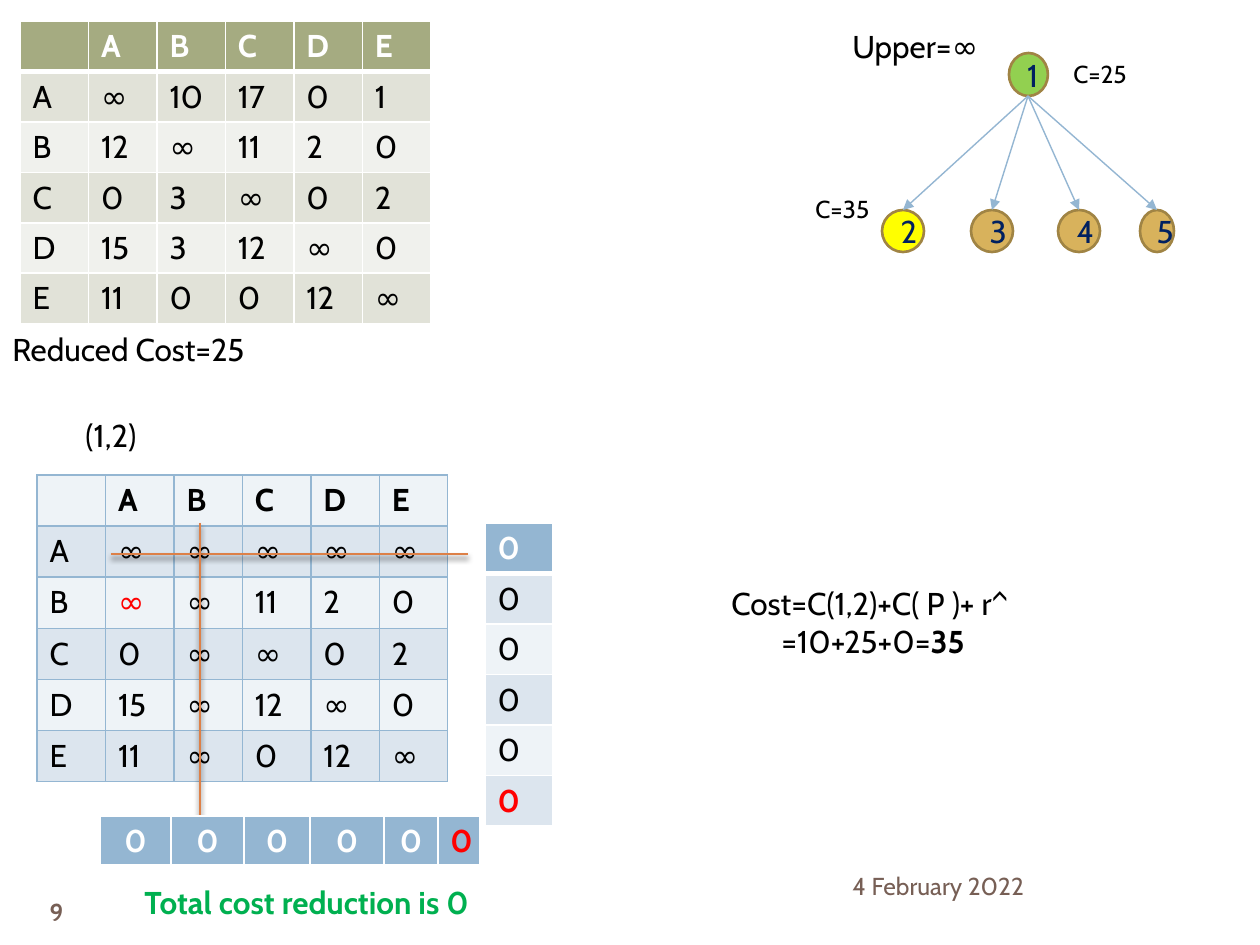
"""Builds the branch-and-bound slide with reduced cost matrices and a search tree."""
from dataclasses import dataclass

from lxml.etree import SubElement
from pptx import Presentation
from pptx.dml.color import RGBColor
from pptx.enum.shapes import MSO_CONNECTOR, MSO_SHAPE
from pptx.enum.text import MSO_ANCHOR, PP_ALIGN
from pptx.oxml.ns import qn
from pptx.util import Emu, Pt


@dataclass(frozen=True)
class Theme:
    font: str = "Cabin"
    body: int = 18
    small: int = 14
    black: str = "000000"
    white: str = "FFFFFF"
    red: str = "FF0000"
    green: str = "00B050"
    brown: str = "775F55"
    navy: str = "002060"
    blue: str = "94B6D2"
    orange: str = "DD8047"
    node_edge: str = "A08444"
    root: str = "92D050"
    explored: str = "FFFF00"
    open_node: str = "D8B25C"
    olive: str = "A5AB81"
    olive_bands: tuple = ("E1E2D8", "F0F1ED")
    blue_bands: tuple = ("DCE5EE", "EEF3F7")


def px(length):
    return Emu(round(length * 914400 / 126))


def apply(target, values):
    for name, value in values.items():
        setattr(target, name, value)


class SlideBuilder:
    def __init__(self, slide, theme):
        self.slide = slide
        self.theme = theme

    def add_words(self, paragraph, content, color, size=None, bold=False):
        run = paragraph.add_run()
        run.text = content
        apply(run.font, {"name": self.theme.font, "size": Pt(size or self.theme.body), "bold": bold})
        run.font.color.rgb = RGBColor.from_string(color)

    def text(self, box, content, color=None, size=None, bold=False,
             align=PP_ALIGN.LEFT, anchor=MSO_ANCHOR.TOP):
        frame = self.slide.shapes.add_textbox(*map(px, box)).text_frame
        apply(frame, {"word_wrap": True, "vertical_anchor": anchor})
        paragraph = frame.paragraphs[0]
        paragraph.alignment = align
        self.add_words(paragraph, content, color or self.theme.black, size, bold)
        return frame

    def node(self, box, label, fill):
        circle = self.slide.shapes.add_shape(MSO_SHAPE.OVAL, *map(px, box))
        circle.shadow.inherit = False
        circle.fill.solid()
        circle.fill.fore_color.rgb = RGBColor.from_string(fill)
        circle.line.color.rgb = RGBColor.from_string(self.theme.node_edge)
        circle.line.width = Pt(1.5)
        circle.text_frame.vertical_anchor = MSO_ANCHOR.MIDDLE
        paragraph = circle.text_frame.paragraphs[0]
        paragraph.alignment = PP_ALIGN.CENTER
        self.add_words(paragraph, label, self.theme.navy)

    def line(self, start, end, color, width):
        connector = self.slide.shapes.add_connector(
            MSO_CONNECTOR.STRAIGHT, *map(px, (*start, *end)))
        connector.line.color.rgb = RGBColor.from_string(color)
        connector.line.width = Pt(width)
        effects = SubElement(connector._element.spPr, qn("a:effectLst"))
        return connector, effects

    def arrow(self, start, end):
        connector, _ = self.line(start, end, self.theme.blue, 0.79)
        SubElement(connector.line._get_or_add_ln(), qn("a:tailEnd"), type="triangle")

    def strike(self, start, end):
        _, effects = self.line(start, end, self.theme.orange, 1.5)
        shadow = SubElement(effects, qn("a:outerShdw"), blurRad=str(Pt(3)),
                            dist=str(Pt(2.4)), dir="5400000", rotWithShape="0")
        shade = SubElement(shadow, qn("a:srgbClr"), val=self.theme.black)
        SubElement(shade, qn("a:alpha"), val="45000")

    def borders(self, cell, color, top, bottom):
        properties = cell._tc.get_or_add_tcPr()
        for side, width in (("L", 1), ("R", 1), ("T", top), ("B", bottom)):
            edge = SubElement(properties, qn(f"a:ln{side}"), w=str(Pt(width)))
            SubElement(SubElement(edge, qn("a:solidFill")), qn("a:srgbClr"), val=color)

    def table(self, box, rows, head, head_text, bands, border, head_rule=3,
              align=PP_ALIGN.LEFT, widths=(), accents=None):
        table = self.slide.shapes.add_table(len(rows), len(rows[0]), *map(px, box)).table
        apply(table, {"first_row": False, "horz_banding": False})
        for column, width in zip(table.columns, widths):
            column.width = px(width)
        for r, row in enumerate(rows):
            for c, value in enumerate(row):
                cell = table.cell(r, c)
                self.borders(cell, border, head_rule if r == 1 else 1, head_rule if r == 0 else 1)
                cell.fill.solid()
                fill = bands[(r - 1) % 2] if r else head
                cell.fill.fore_color.rgb = RGBColor.from_string(fill)
                paragraph = cell.text_frame.paragraphs[0]
                paragraph.alignment = align
                style = {"color": self.theme.black if r else head_text, "bold": r == 0}
                style.update((accents or {}).get((r, c), {}))
                if value:
                    self.add_words(paragraph, value, **style)


def matrix(*rows):
    return [["", *"ABCDE"], *([name, *row.split()] for name, row in zip("ABCDE", rows))]


def main():
    theme = Theme()
    deck = Presentation()
    apply(deck, {"slide_width": px(1260), "slide_height": px(945)})
    page = SlideBuilder(deck.slides.add_slide(deck.slide_layouts[6]), theme)

    page.table((37, 475, 411, 302),
               matrix("∞ ∞ ∞ ∞ ∞", "∞ ∞ 11 2 0", "0 ∞ ∞ 0 2", "15 ∞ 12 ∞ 0", "11 ∞ 0 12 ∞"),
               theme.blue_bands[1], theme.black, theme.blue_bands, theme.blue,
               head_rule=1, accents={(2, 1): {"color": theme.red}})
    page.text((840, 861, 368, 50), "4 February 2022", theme.brown, theme.small,
              anchor=MSO_ANCHOR.MIDDLE)
    page.text((20, 885, 73, 53), "9", theme.brown, theme.small, True,
              PP_ALIGN.CENTER, MSO_ANCHOR.MIDDLE)
    page.table((20, 21, 411, 302),
               matrix("∞ 10 17 0 1", "12 ∞ 11 2 0", "0 3 ∞ 0 2", "15 3 12 ∞ 0", "11 0 0 12 ∞"),
               theme.olive, theme.white, theme.olive_bands, theme.white)
    page.text((0, 324, 368, 50), "Reduced Cost=25")

    root_bottom = (1028, 96)
    children_top = 210
    children = ((882, 42, theme.explored), (971, 42, theme.open_node),
                (1058, 42, theme.open_node), (1140, 34, theme.open_node))
    page.node((1009, 53, 39, 43), "1", theme.root)
    for label, (left, width, fill) in enumerate(children, 2):
        page.node((left, children_top, width, 42), str(label), fill)
    for left, width, _ in children:
        page.arrow(root_bottom, (left + width // 2, children_top))
    page.text((1061, 53, 115, 43), "C=25", size=theme.small)
    page.text((840, 21, 168, 89), "Upper=∞")

    page.strike((111, 554), (468, 554))
    page.strike((200, 523), (200, 816))
    red_total = {"color": theme.red, "bold": True}
    page.table((485, 523, 68, 302), [["0"]] * 6, theme.blue, theme.white,
               theme.blue_bands, theme.white, accents={(5, 0): red_total})
    page.table((100, 816, 380, 50), [["0"] * 6], theme.blue, theme.white,
               theme.blue_bands, theme.white, align=PP_ALIGN.CENTER,
               widths=(71, 73, 66, 74, 54, 42), accents={(0, 5): red_total})

    page.text((73, 410, 294, 50), "(1,2)")
    cost = page.text((719, 578, 368, 89), "Cost=C(1,2)+C( P )+ r^")
    cost_sum = cost.add_paragraph()
    cost_sum._p.get_or_add_pPr().set("marL", str(px(50)))
    page.add_words(cost_sum, "=10+25+0=", theme.black)
    page.add_words(cost_sum, "35", theme.black, bold=True)
    page.text((803, 188, 115, 43), "C=35", size=theme.small)
    page.text((132, 877, 470, 50), "Total cost reduction is 0", theme.green, bold=True)
    deck.save("out.pptx")


if __name__ == "__main__":
    main()
